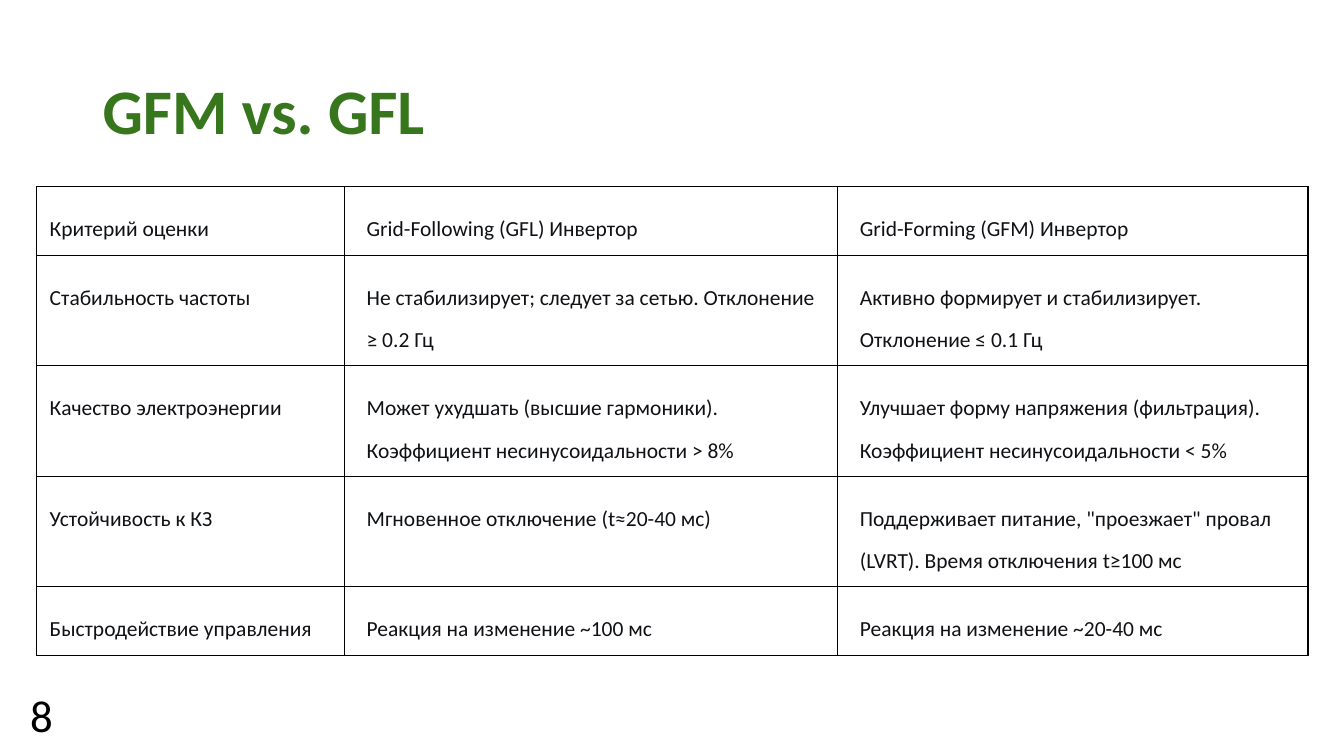
from dataclasses import dataclass

from lxml.etree import SubElement
from pptx import Presentation
from pptx.dml.color import RGBColor
from pptx.enum.text import MSO_ANCHOR as Anchor, PP_ALIGN as Align
from pptx.oxml.ns import qn
from pptx.util import Cm, Pt

COLORS = {"title": "38761D", "ink": "000000", "cell": "0F1115", "paper": "FFFFFF"}
FONT = "Calibri"
NARROW, WIDE = 0.25, 0.42  # cell margins, cm
THIN, THICK = 0.43, 0.75  # cell borders, pt

COLUMN_WIDTHS = [5.82, 9.32, 8.89]
ROW_HEIGHTS = [1.19, 1.88, 1.88, 1.88, 1.22]
ROWS = [
    ("Критерий оценки", "Grid-Following (GFL) Инвертор", "Grid-Forming (GFM) Инвертор"),
    ("Стабильность частоты",
     "Не стабилизирует; следует за сетью. Отклонение ≥ 0.2 Гц",
     "Активно формирует и стабилизирует. Отклонение ≤ 0.1 Гц"),
    ("Качество электроэнергии",
     "Может ухудшать (высшие гармоники). Коэффициент несинусоидальности > 8%",
     "Улучшает форму напряжения (фильтрация). Коэффициент несинусоидальности < 5%"),
    ("Устойчивость к КЗ",
     "Мгновенное отключение (t≈20-40 мс)",
     'Поддерживает питание, "проезжает" провал (LVRT). Время отключения t≥100 мс'),
    ("Быстродействие управления",
     "Реакция на изменение ~100 мс",
     "Реакция на изменение ~20-40 мс"),
]


@dataclass
class Label:
    text: str
    left: float
    top: float
    width: float
    height: float
    size: float
    color: str
    margins: tuple[float, float]
    bold: bool = False
    align: Align = Align.LEFT
    anchor: Anchor = Anchor.TOP
    spacing: float = 1.0


LABELS = [
    Label("GFM vs. GFL", 1.75, 0.76, 21.89, 2.77, 34, "title", (0.19, 0.1),
          bold=True, anchor=Anchor.MIDDLE, spacing=0.9),
    Label("8", -3.38, 12.75, 8.33, 1.54, 24, "ink", (0.25, 0.25), align=Align.CENTER),
]


def add_text(para, text: str, size: float, color: str, bold: bool = False) -> None:
    span = para.add_run()
    span.text = text
    span.font.name = FONT
    span.font.size = Pt(size)
    span.font.bold = bold
    span.font.color.rgb = RGBColor.from_string(COLORS[color])


def draw_label(page, label: Label) -> None:
    box = page.shapes.add_textbox(
        Cm(label.left), Cm(label.top), Cm(label.width), Cm(label.height))
    frame = box.text_frame
    frame.word_wrap = True
    frame.vertical_anchor = label.anchor
    side, end = label.margins
    frame.margin_left = frame.margin_right = Cm(side)
    frame.margin_top = frame.margin_bottom = Cm(end)
    para = frame.paragraphs[0]
    para.alignment = label.align
    para.line_spacing = label.spacing
    add_text(para, label.text, label.size, label.color, label.bold)


def set_borders(cell, top: float) -> None:
    """Outline a cell; the lines must precede its fill in the XML."""
    properties = cell._tc.get_or_add_tcPr()
    widths = {"a:lnL": THICK, "a:lnR": THICK, "a:lnT": top, "a:lnB": THIN}
    for tag, width in widths.items():
        line = SubElement(properties, qn(tag), w=str(Pt(width)))
        fill = SubElement(line, qn("a:solidFill"))
        SubElement(fill, qn("a:srgbClr"), val=COLORS["ink"])


def draw_cell(cell, text: str, row: int, column: int) -> None:
    last_column = column == len(COLUMN_WIDTHS) - 1
    cell.margin_left = Cm(WIDE if column else NARROW)
    cell.margin_right = Cm(NARROW if row and last_column else WIDE)
    cell.margin_top = cell.margin_bottom = Cm(NARROW)
    set_borders(cell, THIN if row else THICK)
    cell.fill.solid()
    cell.fill.fore_color.rgb = RGBColor.from_string(COLORS["paper"])
    para = cell.text_frame.paragraphs[0]
    para.line_spacing = 1.63
    add_text(para, text, 11.5, "cell")


def draw_comparison(page) -> None:
    table = page.shapes.add_table(
        len(ROWS), len(COLUMN_WIDTHS), Cm(0.69), Cm(3.53),
        Cm(sum(COLUMN_WIDTHS)), Cm(sum(ROW_HEIGHTS))).table
    table.first_row = table.horz_banding = False
    for column, width in zip(table.columns, COLUMN_WIDTHS):
        column.width = Cm(width)
    for row, height in zip(table.rows, ROW_HEIGHTS):
        row.height = Cm(height)
    for r, texts in enumerate(ROWS):
        for c, text in enumerate(texts):
            draw_cell(table.cell(r, c), text, r, c)


def main() -> None:
    deck = Presentation()
    deck.slide_width, deck.slide_height = Cm(25.4), Cm(14.29)
    page = deck.slides.add_slide(deck.slide_layouts[6])
    for label in LABELS:
        draw_label(page, label)
    draw_comparison(page)
    deck.save("out.pptx")


if __name__ == "__main__":
    main()
